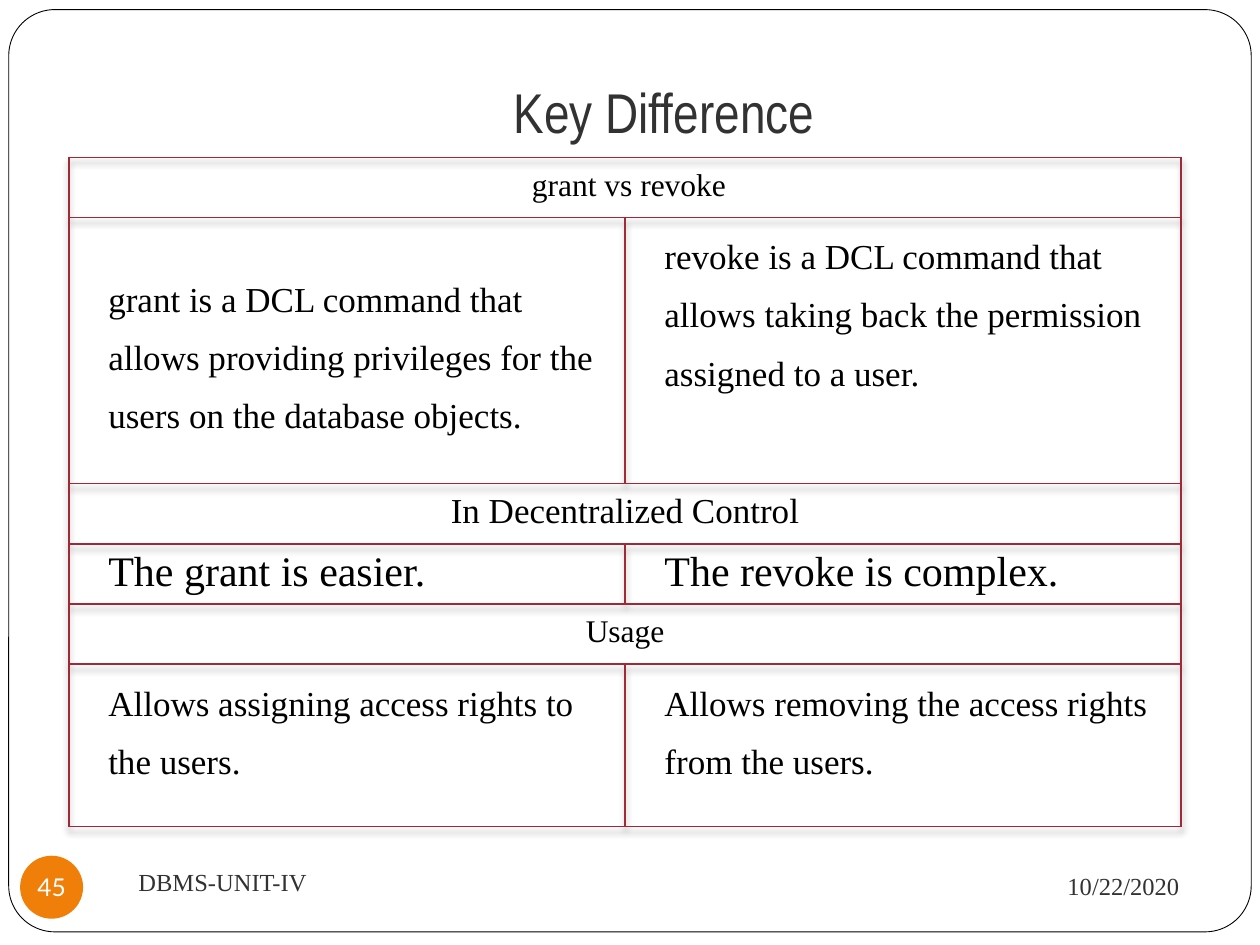
"""Builds the Key Difference slide comparing grant and revoke."""
import dataclasses

import lxml.etree
import pptx
import pptx.dml.color
import pptx.enum.shapes
import pptx.enum.text
import pptx.oxml
import pptx.oxml.ns
import pptx.util

Pt = pptx.util.Pt
ALIGN = pptx.enum.text.PP_ALIGN
ANCHOR = pptx.enum.text.MSO_ANCHOR
SHAPE = pptx.enum.shapes.MSO_SHAPE
qn = pptx.oxml.ns.qn


@dataclasses.dataclass(frozen=True)
class Theme:
    """Fonts, colours and type sizes of the slide."""
    title_font: str = "Arial Narrow"
    body_font: str = "Times New Roman"
    badge_font: str = "Lato"
    ink: str = "000000"
    muted: str = "323232"
    paper: str = "FFFFFF"
    accent: str = "F07F09"
    border: str = "9F2936"
    title_size: int = 32
    large_size: int = 24
    text_size: int = 20
    heading_size: int = 18
    small_size: int = 14


@dataclasses.dataclass(frozen=True)
class Cell:
    """Text and layout of one table cell."""
    text: str
    size: int
    align: ALIGN = ALIGN.LEFT
    anchor: ANCHOR = ANCHOR.MIDDLE
    spacing: float = 1.0
    indent: float = 22.5


def color(value):
    """Turns a hex value into a colour."""
    return pptx.dml.color.RGBColor.from_string(value)


def box(*lengths):
    """Turns lengths in points into slide lengths."""
    return [Pt(length) for length in lengths]


class SlideBuilder:
    """Holds the theme and the current slide."""

    def __init__(self, theme, slide):
        self.theme = theme
        self.slide = slide

    def add_text(self, frame, text, size, font, ink, align=ALIGN.LEFT, spacing=1.0):
        """Adds one run to the first paragraph of a text frame."""
        paragraph = frame.paragraphs[0]
        paragraph.alignment = align
        paragraph.line_spacing = spacing
        run = paragraph.add_run()
        run.text = text
        run.font.size = Pt(size)
        run.font.name = font
        run.font.bold = False
        run.font.color.rgb = color(ink)

    def set_margins(self, target, left, top, right, bottom):
        """Sets the inner margins of a text frame or cell."""
        target.margin_left, target.margin_top = Pt(left), Pt(top)
        target.margin_right, target.margin_bottom = Pt(right), Pt(bottom)

    def shape(self, kind, place, fill):
        """Adds a flat preset shape without an outline."""
        shape = self.slide.shapes.add_shape(kind, *box(*place))
        shape.shadow.inherit = False
        shape.fill.solid()
        shape.fill.fore_color.rgb = color(fill)
        shape.line.fill.background()
        return shape

    def frame(self, place):
        """Adds the rounded page frame behind everything else."""
        shape = self.shape(SHAPE.ROUNDED_RECTANGLE, place, self.theme.paper)
        shape.adjustments[0] = 0.05
        shape.line.color.rgb = color(self.theme.ink)
        shape.line.width = Pt(0.5)
        self.slide.shapes.element.insert(2, shape.element)

    def title(self, text, place):
        """Places and formats the title placeholder."""
        title = self.slide.shapes.title
        title.left, title.top, title.width, title.height = box(*place)
        frame = title.text_frame
        frame.vertical_anchor = ANCHOR.BOTTOM
        self.set_margins(frame, 7.2, 3.6, 7.2, 7.2)
        self.add_text(frame, text, self.theme.title_size, self.theme.title_font,
                      self.theme.muted, ALIGN.CENTER)

    def label(self, text, place, align):
        """Adds a small footer text."""
        frame = self.slide.shapes.add_textbox(*box(*place)).text_frame
        frame.word_wrap = True
        frame.vertical_anchor = ANCHOR.MIDDLE
        self.add_text(frame, text, self.theme.small_size, self.theme.body_font,
                      self.theme.muted, align)

    def badge(self, text, place):
        """Adds the round page number."""
        frame = self.shape(SHAPE.OVAL, place, self.theme.accent).text_frame
        frame.word_wrap = False
        frame.vertical_anchor = ANCHOR.MIDDLE
        self.set_margins(frame, 0, 0, 0, 0)
        self.add_text(frame, text, self.theme.small_size, self.theme.badge_font,
                      self.theme.paper, ALIGN.CENTER)

    def cell_borders(self, cell):
        """Draws all four borders of a cell."""
        properties = cell._tc.get_or_add_tcPr()
        for position, side in enumerate(("a:lnL", "a:lnR", "a:lnT", "a:lnB")):
            line = lxml.etree.Element(qn(side), w=str(Pt(1)))
            fill = lxml.etree.SubElement(line, qn("a:solidFill"))
            lxml.etree.SubElement(fill, qn("a:srgbClr"), val=self.theme.border)
            properties.insert(position, line)

    def table_shadow(self, table):
        """Gives the table a soft shadow below."""
        effects = lxml.etree.Element(qn("a:effectLst"))
        shadow = lxml.etree.SubElement(
            effects, qn("a:outerShdw"), blurRad=str(Pt(4)), dist=str(Pt(3)),
            dir="5400000", rotWithShape="0")
        ink = lxml.etree.SubElement(shadow, qn("a:srgbClr"), val=self.theme.ink)
        lxml.etree.SubElement(ink, qn("a:alpha"), val="35000")
        table._tbl.tblPr.insert(0, effects)

    def table(self, rows, heights, place):
        """Adds the table; a row with one cell spans both columns."""
        shape = self.slide.shapes.add_table(len(rows), 2, *box(*place))
        table = shape.table
        table.first_row = table.horz_banding = False
        self.table_shadow(table)
        for index, (row, height) in enumerate(zip(rows, heights)):
            table.rows[index].height = Pt(height)
            for column in range(2):
                cell = table.cell(index, column)
                cell.fill.background()
                self.cell_borders(cell)
            if len(row) == 1:
                table.cell(index, 0).merge(table.cell(index, 1))
            for column, content in enumerate(row):
                cell = table.cell(index, column)
                cell.vertical_anchor = content.anchor
                self.set_margins(cell, content.indent, 0.75, 15, 3)
                self.add_text(cell.text_frame, content.text, content.size,
                              self.theme.body_font, self.theme.ink,
                              content.align, content.spacing)


def main():
    """Builds and saves the slide."""
    theme = Theme()
    presentation = pptx.Presentation()
    presentation.slide_width, presentation.slide_height = box(720, 540)
    slide = presentation.slides.add_slide(presentation.slide_layouts[5])
    builder = SlideBuilder(theme, slide)

    def heading(text, size):
        return [Cell(text, size, align=ALIGN.CENTER, indent=15)]

    def detail(text, anchor=ANCHOR.TOP):
        return Cell(text, theme.text_size, anchor=anchor, spacing=1.5)

    rows = [
        heading(" grant vs revoke", theme.heading_size),
        [detail("grant is a DCL command that allows providing privileges "
                "for the users on the database objects.", ANCHOR.MIDDLE),
         detail("revoke is a DCL command that allows taking back the "
                "permission assigned to a user.")],
        heading("In Decentralized Control", theme.text_size),
        [Cell("The grant is easier.", theme.large_size),
         Cell("The revoke is complex.", theme.large_size)],
        heading("Usage", theme.heading_size),
        [detail("Allows assigning access rights to the users."),
         detail("Allows removing the access rights from the users.")],
    ]
    builder.frame((5, 5.5, 710, 527))
    builder.title("Key Difference", (73.5, 0, 612, 90))
    builder.label("10/22/2020", (486, 487.5, 195, 37.5), ALIGN.RIGHT)
    builder.label("DBMS-UNIT-IV", (72, 486, 312, 36), ALIGN.LEFT)
    builder.badge("45", (11.5, 489, 36, 36))
    builder.table(rows, (34.4, 152, 34.4, 34.4, 34.4, 92.8),
                  (39.4, 90, 635.6, 382.4))
    presentation.save("out.pptx")


if __name__ == "__main__":
    main()
